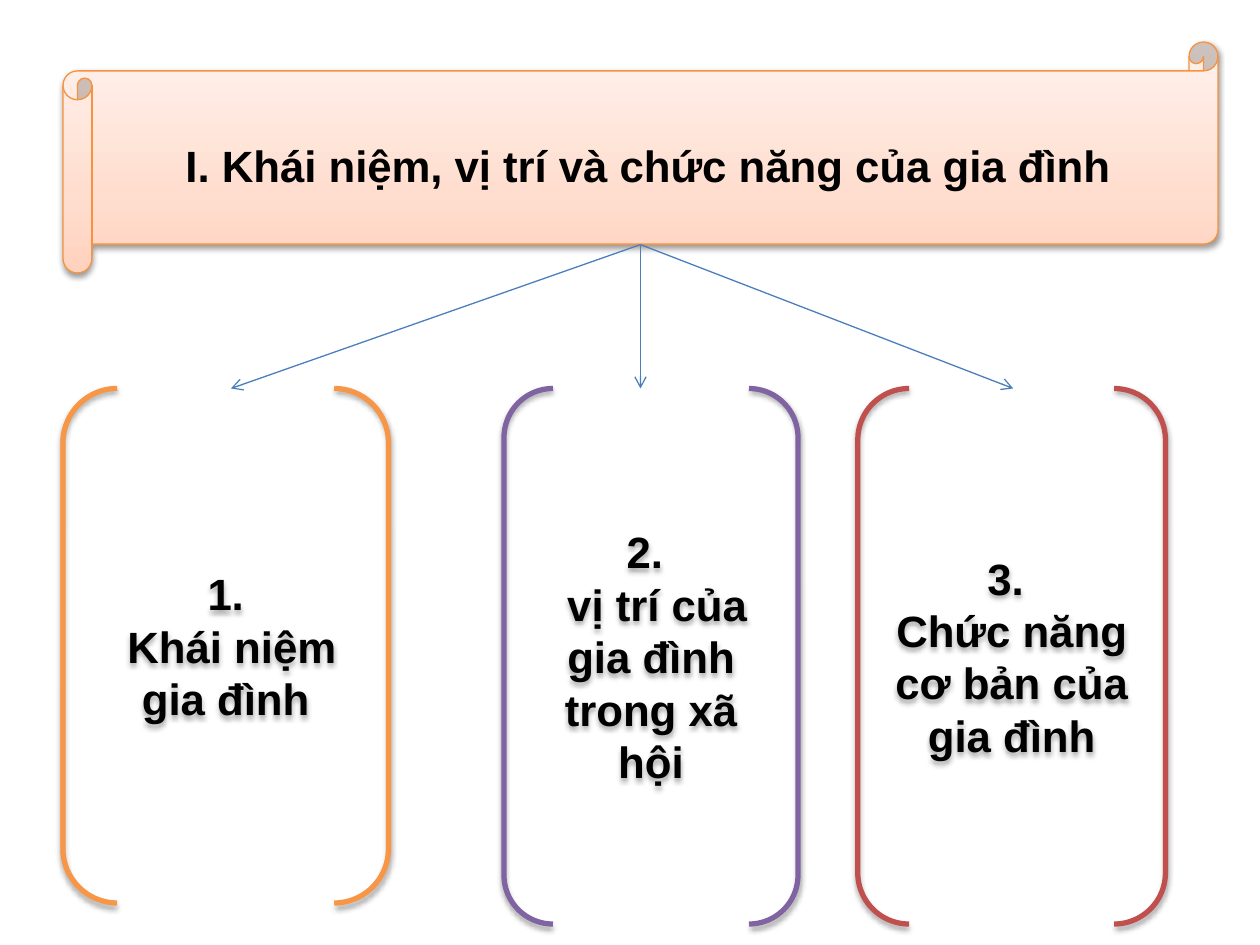
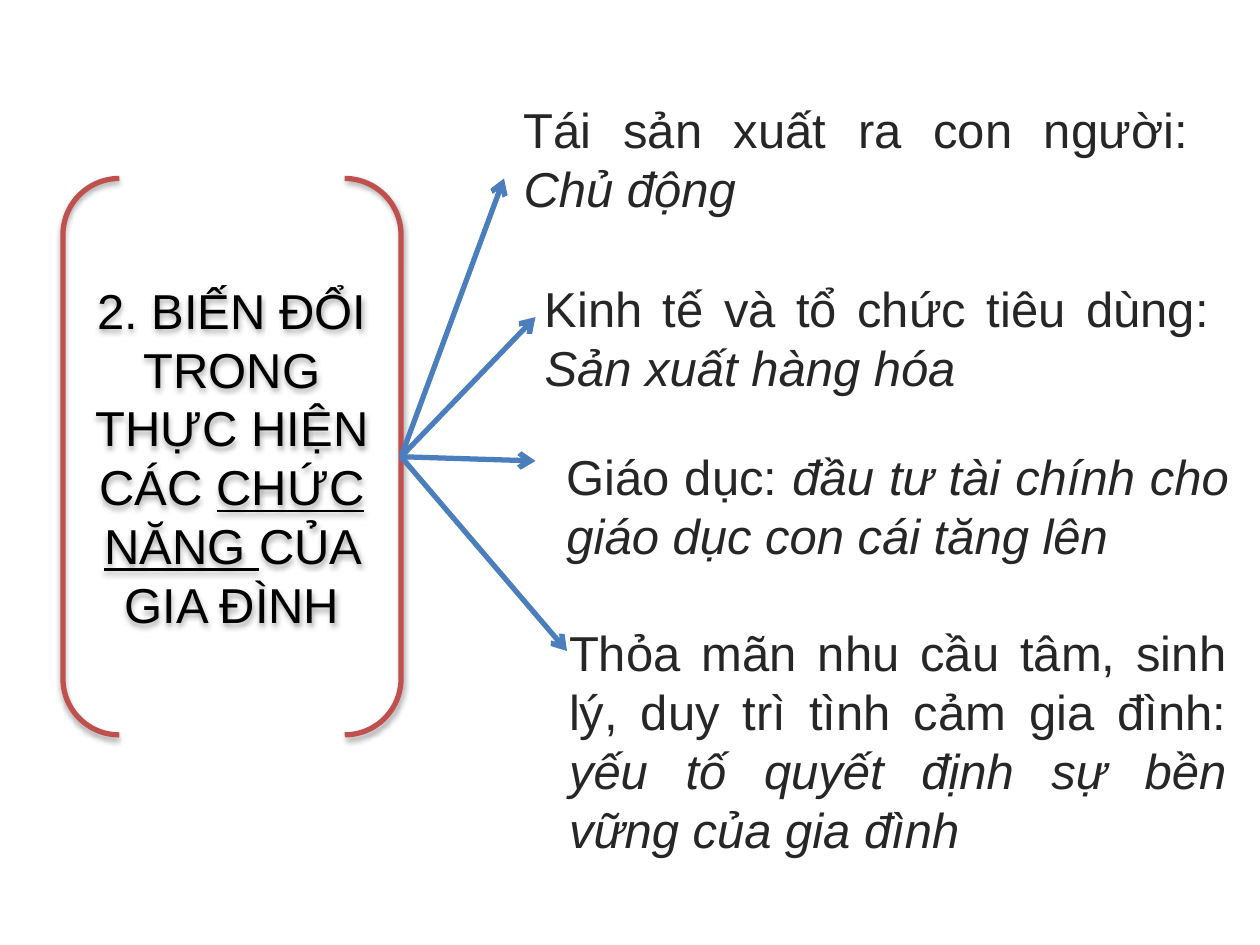
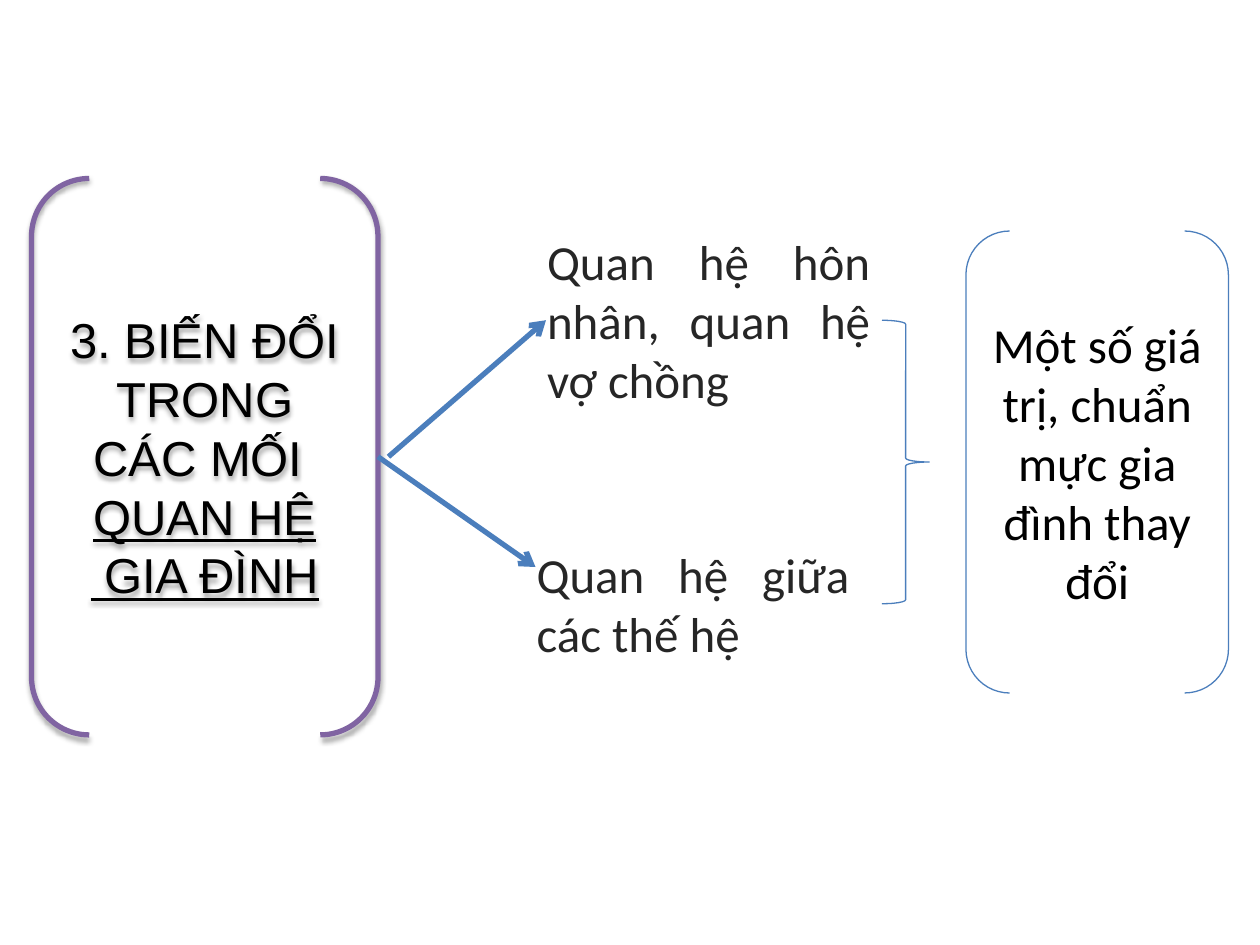
from copy import deepcopy
from dataclasses import dataclass

from lxml import etree
from pptx import Presentation
from pptx.dml.color import RGBColor
from pptx.enum.shapes import MSO_CONNECTOR, MSO_SHAPE
from pptx.enum.text import MSO_ANCHOR, MSO_AUTO_SIZE, PP_ALIGN
from pptx.oxml.ns import qn
from pptx.util import Emu, Pt

SCROLL = MSO_SHAPE.HORIZONTAL_SCROLL
BRACKETS = MSO_SHAPE.DOUBLE_BRACKET
BRACE = MSO_SHAPE.RIGHT_BRACE
ROUNDED = MSO_SHAPE.ROUNDED_RECTANGLE
STRAIGHT = MSO_CONNECTOR.STRAIGHT
CENTER = PP_ALIGN.CENTER
JUSTIFY = PP_ALIGN.JUSTIFY
MIDDLE = MSO_ANCHOR.MIDDLE
NO_AUTOFIT = MSO_AUTO_SIZE.NONE

EMU_PER_PX = 7620  # 120 px to the inch
SLIDE_SIZE = (1200, 900)
TITLE_ONLY, BLANK = 5, 6


@dataclass(frozen=True)
class Theme:
    black: str = "000000"
    gray: str = "262626"
    blue: str = "4B7EBC"
    orange: str = "F79646"
    purple: str = "8064A2"
    red: str = "C0504D"
    scroll_line: str = "F69240"
    scroll_stops: tuple = ((0, "FFD2BD"), (0.35, "FFDED0"), (1, "FFF2ED"))
    heading_font: str = "Arial"
    body_font: str = "Calibri"
    small: int = 25
    large: int = 28
    thin: float = 0.75
    thick: float = 3


THEME = Theme()


def px(value):
    return Emu(value * EMU_PER_PX)


def rgb(value):
    return RGBColor.from_string(value)


class Deck:
    """Holds the theme and the current slide."""

    def __init__(self, theme):
        self.theme = theme
        self.presentation = Presentation()
        self.presentation.slide_width, self.presentation.slide_height = map(px, SLIDE_SIZE)
        self.slide = None

    def add_slide(self, layout=BLANK):
        self.slide = self.presentation.slides.add_slide(self.presentation.slide_layouts[layout])

    def shape(self, kind, box, line=None, width=None):
        """Add an unfilled preset shape, outlined if a line colour is given."""
        shape = self.slide.shapes.add_shape(kind, *map(px, box))
        shape.shadow.inherit = False
        shape.fill.background()
        if line:
            shape.line.color.rgb = rgb(line)
            shape.line.width = Pt(width or self.theme.thin)
        else:
            shape.line.fill.background()
        return shape

    def drop_shadow(self, shape, opacity, distance):
        effects = shape.element.spPr.find(qn("a:effectLst"))
        shadow = etree.SubElement(effects, qn("a:outerShdw"), blurRad=str(Pt(3.1)),
                                  dist=str(Pt(distance)), dir="5400000", rotWithShape="0")
        color = etree.SubElement(shadow, qn("a:srgbClr"), val=self.theme.black)
        etree.SubElement(color, qn("a:alpha"), val=str(opacity * 1000))

    def set_text(self, shape, paragraphs, size, font, color, align=CENTER, bold=False):
        """Each paragraph is a list of (text, style); style is "", "italic" or "underline"."""
        frame = shape.text_frame
        frame.word_wrap = True
        frame.vertical_anchor = MIDDLE
        for index, parts in enumerate(paragraphs):
            paragraph = frame.add_paragraph() if index else frame.paragraphs[0]
            paragraph.alignment = align
            for text, style in parts:
                run = paragraph.add_run()
                run.text = text
                run.font.size = Pt(size)
                run.font.name = font
                run.font.color.rgb = rgb(color)
                run.font.bold = bold
                run.font.italic = style == "italic"
                run.font.underline = style == "underline"

    def scroll_title(self, text, scroll_box, title_box):
        theme = self.theme
        scroll = self.shape(SCROLL, scroll_box, theme.scroll_line)
        self.drop_shadow(scroll, 38, 1.6)
        scroll.fill.gradient()
        scroll.fill.gradient_angle = 90
        stop_list = scroll.element.spPr.find(qn("a:gradFill")).find(qn("a:gsLst"))
        stop_list.append(deepcopy(stop_list[-1]))
        for stop, (position, color) in zip(scroll.fill.gradient_stops, theme.scroll_stops):
            stop.position = position
            stop.color.rgb = rgb(color)

        # The title lies on the scroll, so it moves to the front
        title = self.slide.shapes.title
        scroll.element.addnext(title.element)
        title.left, title.top, title.width, title.height = map(px, title_box)
        self.set_text(title, [[(text, "")]], theme.small, theme.heading_font, theme.black,
                      bold=True)
        title.text_frame.auto_size = NO_AUTOFIT
        title.text_frame.paragraphs[0].line_spacing = 1.3

    def heading_bracket(self, box, line, paragraphs, size, bold=False):
        shape = self.shape(BRACKETS, box, line, self.theme.thick)
        self.drop_shadow(shape, 35, 1.8)
        self.set_text(shape, paragraphs, size, self.theme.heading_font, self.theme.black,
                      bold=bold)

    def conclusion_bracket(self, box, text):
        shape = self.shape(BRACKETS, box, self.theme.blue)
        self.set_text(shape, [[(text, "")]], self.theme.large, self.theme.body_font,
                      self.theme.black)

    def item(self, box, parts, font):
        shape = self.shape(ROUNDED, box)
        self.set_text(shape, [parts], self.theme.large, font, self.theme.gray, JUSTIFY)

    def arrow(self, start, end, width):
        connector = self.slide.shapes.add_connector(STRAIGHT, *map(px, start + end))
        connector.line.color.rgb = rgb(self.theme.blue)
        connector.line.width = Pt(width)
        properties = connector.element.spPr
        etree.SubElement(properties.find(qn("a:ln")), qn("a:tailEnd"), type="arrow")
        etree.SubElement(properties, qn("a:effectLst"))


def build_overview(deck):
    theme = deck.theme
    deck.add_slide(TITLE_ONLY)
    deck.scroll_title("I. Khái niệm, vị trí và chức năng của gia đình",
                      (60, 40, 1100, 220), (88, 67, 1058, 166))

    # Three topics: left, width, height, colour, number, name, arrow end
    topics = (
        (60, 310, 490, theme.orange, "1.", " Khái niệm gia đình", 220),
        (480, 280, 510, theme.purple, "2. ", " vị trí của gia đình trong xã hội", 610),
        (817, 293, 510, theme.red, "3. ", "Chức năng cơ bản của gia đình", 965),
    )
    top = 370
    for left, width, height, color, number, name, arrow_x in topics:
        deck.heading_bracket((left, top, width, height), color,
                             [[(number, "")], [(name, "")]], theme.small, bold=True)
        deck.arrow((610, 233), (arrow_x, top), theme.thin)


def build_functions(deck):
    theme = deck.theme
    deck.add_slide()
    deck.heading_bracket((60, 170, 322, 530), theme.red, [
        [("2. BIẾN ĐỔI TRONG THỰC HIỆN", "")],
        [("CÁC ", ""), ("CHỨC NĂNG ", "underline"), ("CỦA GIA ĐÌNH", "")],
    ], theme.large)

    # Family functions: left, top, height, name, change, arrow end
    functions = (
        (480, 80, 142, "Tái sản xuất ra con người: ", "Chủ động ", (480, 170)),
        (500, 250, 142, "Kinh tế và tổ chức tiêu dùng: ", "Sản xuất hàng hóa", (510, 302)),
        (520, 402, 158, "Giáo dục: ", "đầu tư tài chính cho giáo dục con cái tăng lên",
         (510, 439)),
        (520, 600, 210, "Thỏa mãn nhu cầu tâm, sinh lý, duy trì tình cảm gia đình: ",
         "yếu tố quyết định sự bền vững của gia đình ", (540, 620)),
    )
    for left, top, height, name, change, arrow_end in functions:
        deck.item((left, top, 670, height), [(name, ""), (change, "italic")],
                  theme.heading_font)
        deck.arrow((382, 435), arrow_end, theme.thick)


def build_relations(deck):
    theme = deck.theme
    deck.add_slide()
    deck.heading_bracket((30, 170, 330, 530), theme.purple, [
        [("3. BIẾN ĐỔI TRONG CÁC MỐI ", "")],
        [("QUAN HỆ", "underline")],
        [(" GIA ĐÌNH", "underline")],
    ], theme.large)

    # Relations: box, text, arrow start and end
    relations = (
        ((500, 210, 350, 190), "Quan hệ hôn nhân, quan hệ vợ chồng", (370, 435), (520, 305)),
        ((490, 480, 340, 190), "Quan hệ giữa các thế hệ", (360, 435), (510, 540)),
    )
    for box, text, start, end in relations:
        deck.item(box, [(text, "")], theme.body_font)
        deck.arrow(start, end, theme.thick)

    # Conclusion
    deck.shape(BRACE, (840, 305, 45, 270), theme.blue)
    deck.conclusion_bracket((920, 220, 250, 440), "Một số giá trị, chuẩn mực gia đình thay đổi")


def main():
    deck = Deck(THEME)
    build_overview(deck)
    build_functions(deck)
    build_relations(deck)
    deck.presentation.save("out.pptx")


if __name__ == "__main__":
    main()
